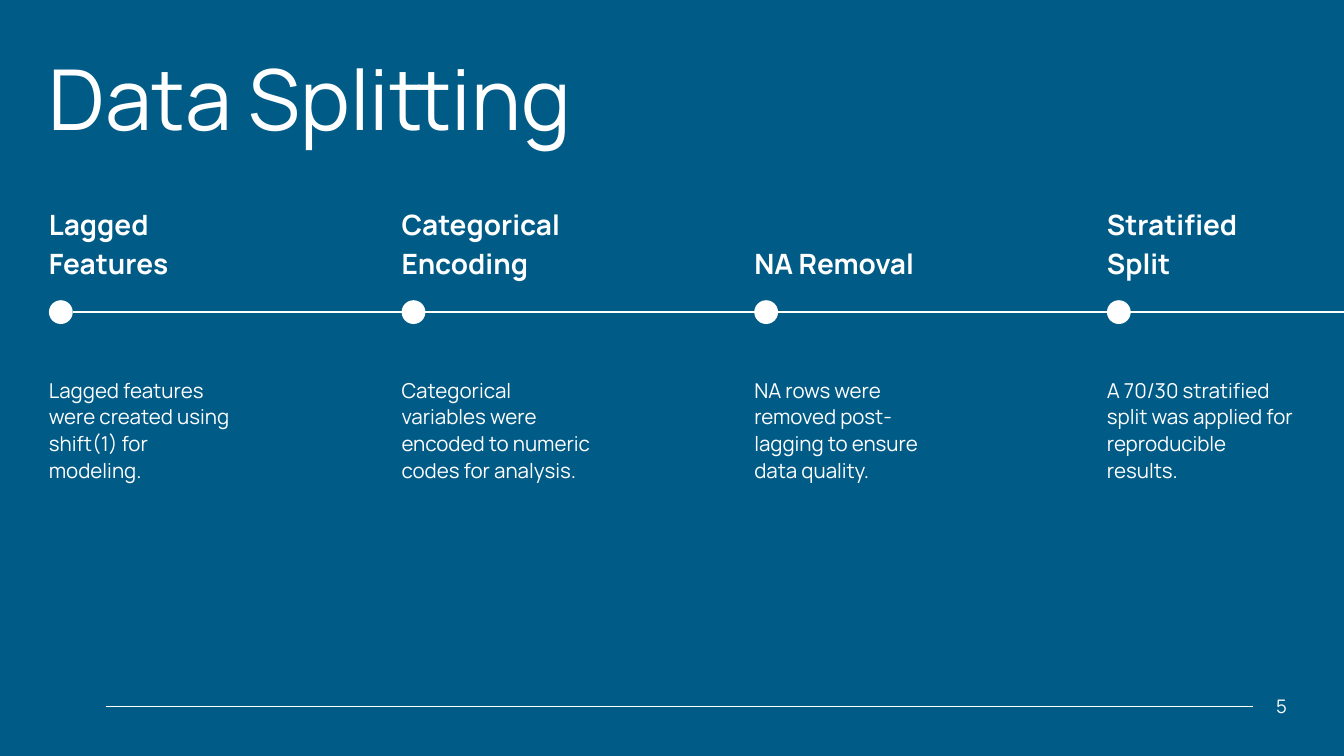
from pptx import Presentation
from pptx import util as u
from pptx.dml.color import RGBColor
from pptx.enum import shapes, text
from pptx.oxml.ns import qn
from lxml import etree

BLUE, WHITE = "005B87", "FFFFFF"
LEFT, STEP, COLUMN_WIDTH = 1.85, 13.33, 7.14
HEADING_BOTTOM, HEADING_LINE = 10.6, 1.48
TIMELINE_Y, DOT = 11.8, 0.9

# heading, heading line count, description
STAGES = [
    ("Lagged Features", 2,
     "Lagged features were created using shift(1) for modeling."),
    ("Categorical Encoding", 2,
     "Categorical variables were encoded to numeric codes for analysis."),
    ("NA Removal", 1,
     "NA rows were removed post-lagging to ensure data quality."),
    ("Stratified Split", 2,
     "A 70/30 stratified split was applied for reproducible results."),
]


def color(hex_code):
    return RGBColor.from_string(hex_code)


def set_all(target, values):
    for name, value in values.items():
        setattr(target, name, value)


class Deck:
    FONT = "Manrope"
    FRAME = {"margin_left": 0, "margin_top": 0, "margin_right": 0,
             "margin_bottom": 0, "word_wrap": True,
             "auto_size": text.MSO_AUTO_SIZE.SHAPE_TO_FIT_TEXT}

    def __init__(self, width, height):
        self.file = Presentation()
        set_all(self.file, {"slide_width": u.Cm(width),
                            "slide_height": u.Cm(height)})
        self.slide = None

    def new_slide(self, background):
        self.slide = self.file.slides.add_slide(self.file.slide_layouts[6])
        fill = self.slide.background.fill
        fill.solid()
        fill.fore_color.rgb = color(background)

    def label(self, words, box, size, spacing, bold=False, wrap=True,
              align=text.PP_ALIGN.LEFT):
        frame = self.slide.shapes.add_textbox(*map(u.Cm, box)).text_frame
        set_all(frame, {**self.FRAME, "word_wrap": wrap})
        paragraph = frame.paragraphs[0]
        set_all(paragraph, {"alignment": align, "line_spacing": u.Pt(spacing)})
        run = paragraph.add_run()
        run.text = words
        set_all(run.font, {"name": self.FONT, "size": u.Pt(size), "bold": bold})
        run.font.color.rgb = color(WHITE)

    def rule(self, start, end, y):
        line = self.slide.shapes.add_connector(
            shapes.MSO_CONNECTOR.STRAIGHT, *map(u.Cm, (start, y, end, y)))
        line.line.color.rgb = color(WHITE)
        line.line.width = u.Pt(1.5)
        etree.SubElement(line._element.spPr, qn("a:effectLst"))

    def dot(self, left, middle, size):
        dot = self.slide.shapes.add_shape(
            shapes.MSO_SHAPE.OVAL,
            *map(u.Cm, (left, middle - size / 2, size, size)))
        dot.shadow.inherit = False
        dot.fill.solid()
        dot.fill.fore_color.rgb = color(WHITE)
        dot.line.fill.background()


def main():
    deck = Deck(50.8, 28.58)
    deck.new_slide(BLUE)
    deck.label("Data Splitting", (LEFT, 2.06, 47.1, 3.6), 90, 99)

    deck.rule(LEFT + DOT, 51.66, TIMELINE_Y)
    for column, (heading, lines, description) in enumerate(STAGES):
        left = LEFT + column * STEP
        height = lines * HEADING_LINE
        deck.label(heading, (left, HEADING_BOTTOM - height, COLUMN_WIDTH, height),
                   30, 42, bold=True)
        deck.dot(left, TIMELINE_Y, DOT)
        deck.label(description, (left, 14.2, COLUMN_WIDTH, 4.03), 22, 28.6)

    deck.rule(3.99, 47.37, 26.7)
    deck.label("5", (48.21, 26.14, 0.43, 0.58), 20, 28, wrap=False,
               align=text.PP_ALIGN.RIGHT)
    deck.file.save("out.pptx")


if __name__ == "__main__":
    main()
